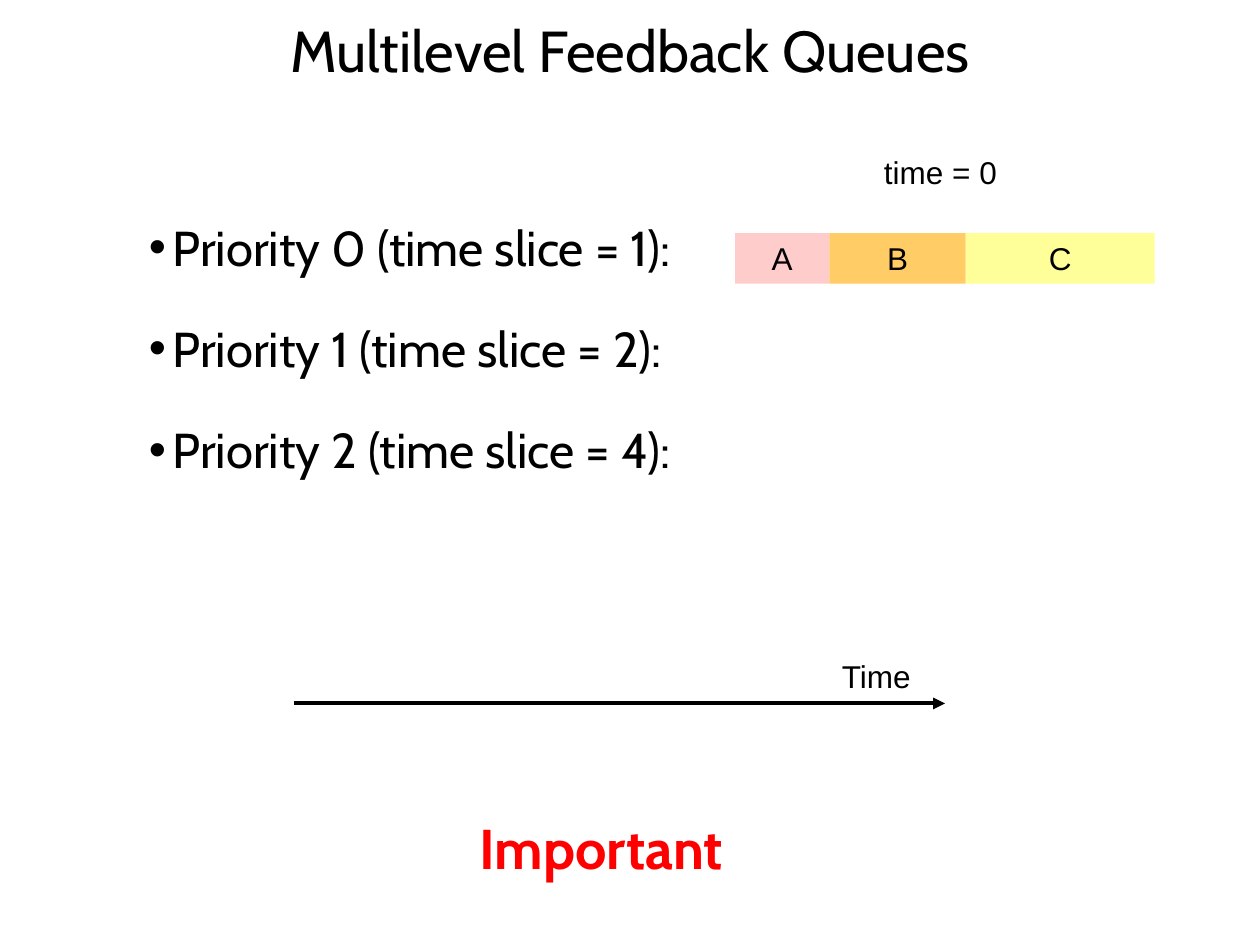
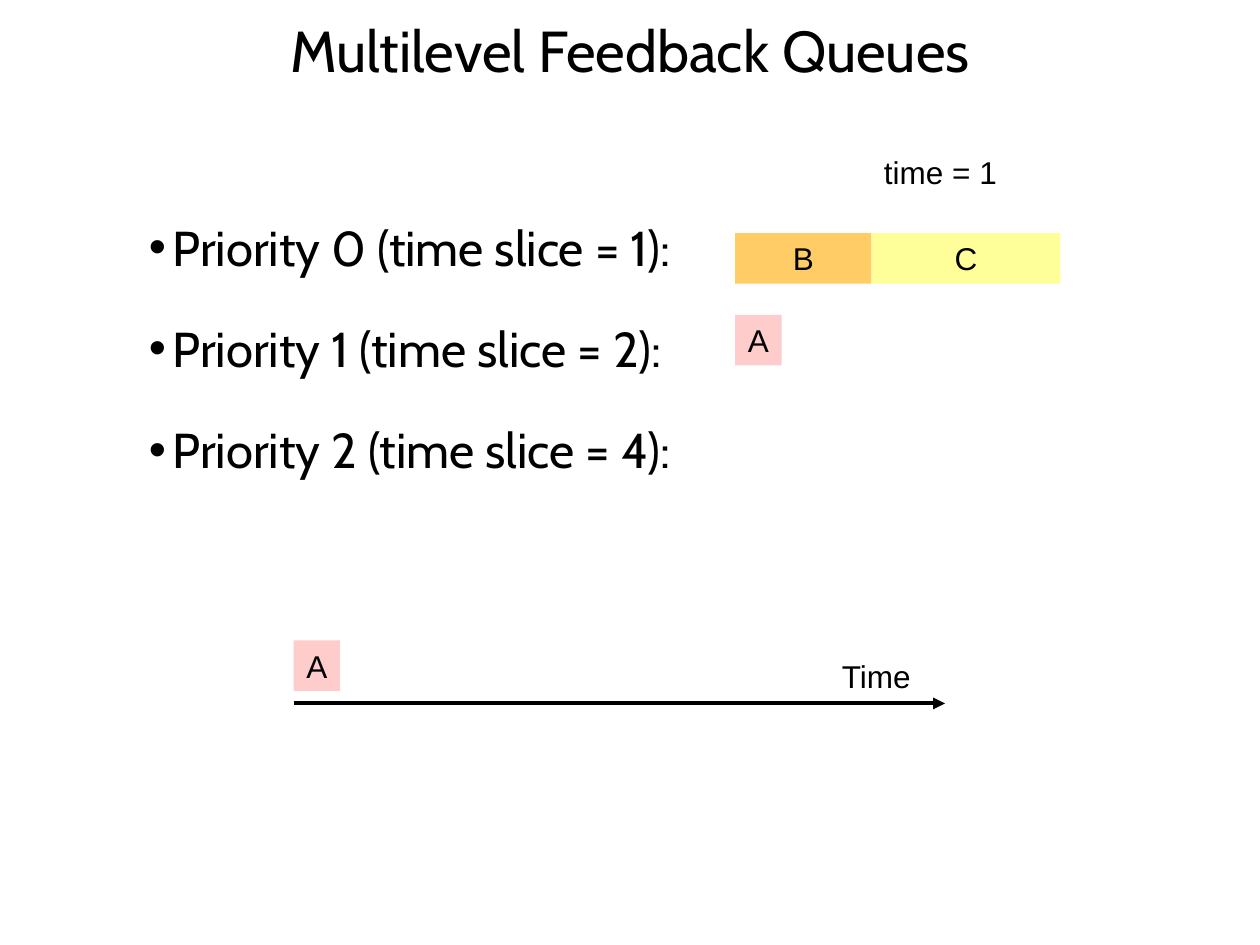
from dataclasses import dataclass

from lxml.etree import SubElement
from pptx import Presentation
from pptx.dml.color import RGBColor
from pptx.enum.shapes import MSO_CONNECTOR, MSO_SHAPE
from pptx.enum.text import MSO_ANCHOR, PP_ALIGN
from pptx.oxml.ns import qn
from pptx.util import Cm, Pt


@dataclass(frozen=True)
class Theme:
    heading_font: str = "Cabin"
    label_font: str = "Arial"
    title_size: float = 33
    callout_size: float = 32
    bullet_size: float = 28
    label_size: float = 18
    ink: str = "000000"
    alert: str = "FF0000"


JOB_COLOURS = {"A": "FFCCCC", "B": "FFCC66", "C": "FFFF99"}
FULL_WIDTHS = {"A": 1.9, "B": 2.75, "C": 3.81}
SLICE_WIDTH = 0.94
JOB_HEIGHT = 1.02
QUEUE_LEFT, QUEUE_TOP, QUEUE_PITCH = 14.82, 4.7, 1.65
AXIS_LEFT, AXIS_RIGHT, AXIS_TOP = 5.92, 19.05, 14.18
RAN_TOP = 12.91
PRIORITIES = [f"Priority {level} (time slice = {2 ** level}):" for level in range(3)]


def write(para, text, *, font, size, colour, bold=False, align=PP_ALIGN.LEFT):
    para.alignment = align
    span = para.add_run()
    span.text = text
    span.font.name = font
    span.font.size = Pt(size)
    span.font.bold = bold
    span.font.color.rgb = RGBColor.from_string(colour)


def add_bullet(para):
    properties = para._p.get_or_add_pPr()
    properties.set("marL", str(Cm(0.48)))
    properties.set("indent", str(-Cm(0.48)))
    SubElement(properties, qn("a:buFont"), typeface="Arial")
    SubElement(properties, qn("a:buChar"), char="•")


class QueuePage:
    def __init__(self, deck, theme):
        self.theme = theme
        self.page = deck.slides.add_slide(deck.slide_layouts[6])

    def text_frame(self, left, top, width, height, wrap=True):
        box = self.page.shapes.add_textbox(Cm(left), Cm(top), Cm(width), Cm(height))
        box.text_frame.word_wrap = wrap
        return box.text_frame

    def title(self, text):
        frame = self.text_frame(0.85, 0, 23.7, 2.16)
        frame.vertical_anchor = MSO_ANCHOR.MIDDLE
        para = frame.paragraphs[0]
        para.line_spacing = 0.9
        write(para, text, font=self.theme.heading_font, size=self.theme.title_size,
              colour=self.theme.ink, align=PP_ALIGN.CENTER)

    def label(self, text, left, top, width):
        frame = self.text_frame(left, top, width, JOB_HEIGHT, wrap=False)
        write(frame.paragraphs[0], text, font=self.theme.label_font,
              size=self.theme.label_size, colour=self.theme.ink)

    def bullets(self, lines):
        frame = self.text_frame(2.75, 3.66, 13.97, 5.72)
        for index, line in enumerate(lines):
            para = frame.add_paragraph() if index else frame.paragraphs[0]
            add_bullet(para)
            para.line_spacing = 1.5
            if index:
                para.space_before = Pt(7.5)
            write(para, line, font=self.theme.heading_font,
                  size=self.theme.bullet_size, colour=self.theme.ink)

    def job(self, name, left, top, width):
        block = self.page.shapes.add_shape(
            MSO_SHAPE.RECTANGLE, Cm(left), Cm(top), Cm(width), Cm(JOB_HEIGHT))
        block.shadow.inherit = False
        block.fill.solid()
        block.fill.fore_color.rgb = RGBColor.from_string(JOB_COLOURS[name])
        block.line.fill.background()
        block.text_frame.word_wrap = False
        write(block.text_frame.paragraphs[0], name, font=self.theme.label_font,
              size=self.theme.label_size, colour=self.theme.ink, align=PP_ALIGN.CENTER)

    def job_row(self, jobs, left, top):
        """Lay (name, width) jobs end to end."""
        for name, width in jobs:
            self.job(name, left, top, width)
            left += width

    def time_axis(self):
        arrow = self.page.shapes.add_connector(
            MSO_CONNECTOR.STRAIGHT, Cm(AXIS_LEFT), Cm(AXIS_TOP), Cm(AXIS_RIGHT), Cm(AXIS_TOP))
        arrow.line.color.rgb = RGBColor.from_string(self.theme.ink)
        arrow.line.width = Pt(2.25)
        SubElement(arrow.line._get_or_add_ln(), qn("a:tailEnd"), type="triangle")
        SubElement(arrow._element.spPr, qn("a:effectLst"))
        self.label("Time", 16.72, 13.12, 1.93)

    def callout(self, text):
        frame = self.text_frame(9.42, 16.28, 6.55, 1.63)
        write(frame.paragraphs[0], text, font=self.theme.heading_font,
              size=self.theme.callout_size, colour=self.theme.alert, bold=True)


def add_step(deck, theme, time, queues, ran=()):
    """Show the jobs waiting at each priority and those that already ran."""
    step = QueuePage(deck, theme)
    step.title("Multilevel Feedback Queues")
    step.label(f"time = {time}", 17.57, 2.97, 2.79)
    step.bullets(PRIORITIES)
    for level, jobs in enumerate(queues):
        step.job_row(jobs, QUEUE_LEFT, QUEUE_TOP + level * QUEUE_PITCH)
    step.job_row(ran, AXIS_LEFT, RAN_TOP)
    step.time_axis()
    return step


def main():
    deck = Presentation()
    deck.slide_width, deck.slide_height = Cm(25.4), Cm(19.05)
    theme = Theme()
    waiting = list(FULL_WIDTHS.items())
    slice_of_a = [("A", SLICE_WIDTH)]
    add_step(deck, theme, 0, [waiting]).callout("Important")
    add_step(deck, theme, 1, [waiting[1:], slice_of_a], ran=slice_of_a)
    deck.save("out.pptx")


if __name__ == "__main__":
    main()
